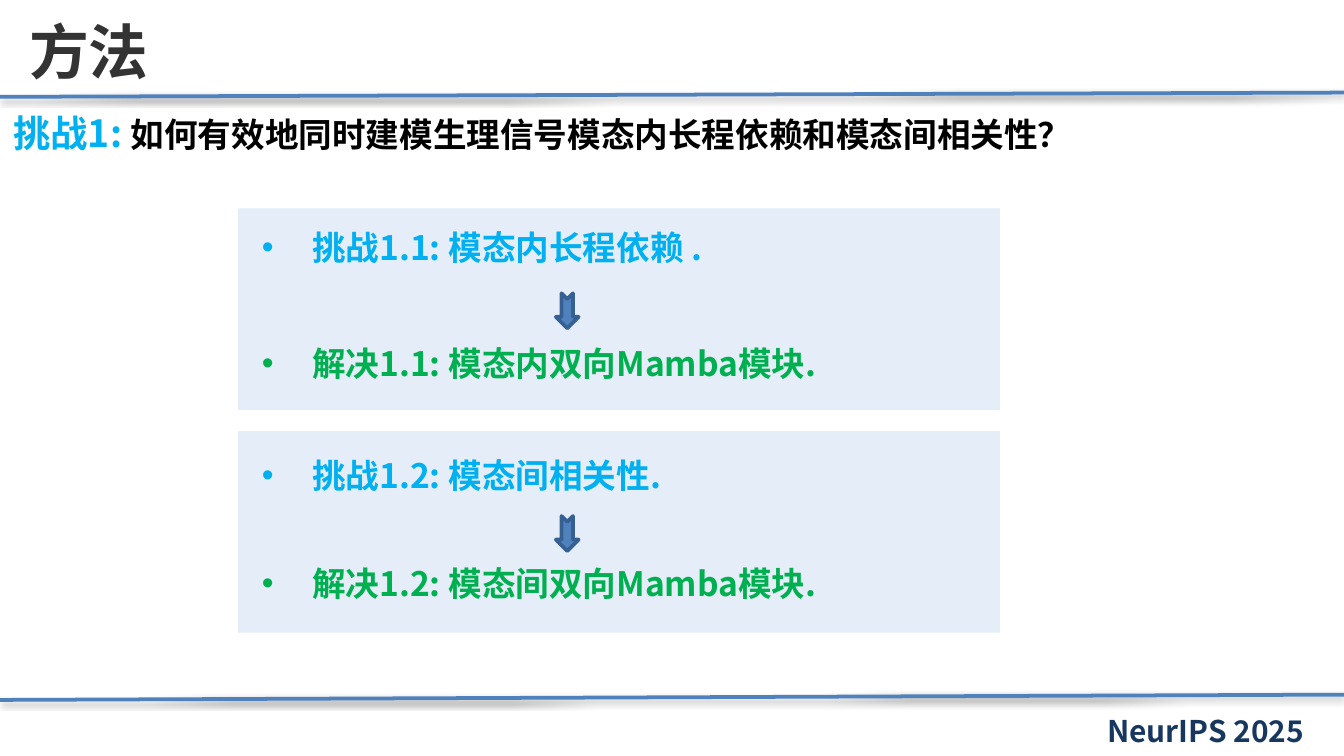
import pptx
import pptx.dml.color
import pptx.enum.dml
import pptx.enum.shapes
import pptx.enum.text
import pptx.oxml
import pptx.oxml.ns
import pptx.util

Cm = pptx.util.Cm
Pt = pptx.util.Pt
KIND = pptx.enum.shapes.MSO_SHAPE
NS = pptx.oxml.ns.nsdecls("a")
FONT = "Noto Sans CJK SC"
BLUE, GREEN = "00B0F0", "00B050"
WIDE, HIGH = 25.4, 14.29
SHADOW = (
    f'<a:effectLst {NS}><a:outerShdw blurRad="{Pt(3.1)}" dist="{Pt(1.6)}" '
    'dir="5400000" rotWithShape="0"><a:srgbClr val="000000">'
    '<a:alpha val="38000"/></a:srgbClr></a:outerShdw></a:effectLst>'
)


def rgb(code):
    return pptx.dml.color.RGBColor.from_string(code)


def node(xml):
    return pptx.oxml.parse_xml(xml)


class Deck:
    """Holds the style and the current slide."""

    def __init__(self):
        self.prs = pptx.Presentation()
        self.prs.slide_width = Cm(WIDE)
        self.prs.slide_height = Cm(HIGH)
        self.slide = self.prs.slides.add_slide(self.prs.slide_layouts[6])
        self.shapes = self.slide.shapes

    def back(self, fore, base):
        fill = self.slide.background.fill
        fill.patterned()
        fill.pattern = pptx.enum.dml.MSO_PATTERN.LIGHT_UPWARD_DIAGONAL
        fill.fore_color.rgb = rgb(fore)
        fill.back_color.rgb = rgb(base)

    def shape(self, kind, x, y, w, h, fill, line=None, alpha=None):
        """Add a preset shape; alpha is its opacity in percent."""
        item = self.shapes.add_shape(kind, Cm(x), Cm(y), Cm(w), Cm(h))
        item.shadow.inherit = False
        item.fill.solid()
        item.fill.fore_color.rgb = rgb(fill)
        if alpha:
            tint = item.fill._xPr.find(".//" + pptx.oxml.ns.qn("a:srgbClr"))
            tint.append(node(f'<a:alpha {NS} val="{alpha * 1000}"/>'))
        if line:
            item.line.color.rgb = rgb(line)
            item.line.width = Pt(2)
        else:
            item.line.fill.background()
        return item

    def rule(self, left, right):
        """Draw a shadowed line across the slide, given its end heights."""
        line = self.shapes.add_connector(
            pptx.enum.shapes.MSO_CONNECTOR.STRAIGHT,
            Cm(0), Cm(left), Cm(WIDE), Cm(right))
        line.line.color.rgb = rgb("4F81BD")
        line.line.width = Pt(2)
        line._element.spPr.append(node(SHADOW))

    def arrow(self, x, y):
        item = self.shape(KIND.NOTCHED_RIGHT_ARROW, x, y, 0.66, 0.43,
                          "4F81BD", "376092")
        item.rotation = 90

    def text(self, x, y, w, h, *parts, bullet=False):
        """Add one line of text; each part is (words, size, colour)."""
        box = self.shapes.add_textbox(Cm(x), Cm(y), Cm(w), Cm(h))
        frame = box.text_frame
        frame.word_wrap = True
        frame.auto_size = pptx.enum.text.MSO_AUTO_SIZE.SHAPE_TO_FIT_TEXT
        para = frame.paragraphs[0]
        para.text = parts[0][0]
        for part in parts[1:]:
            para.add_run().text = part[0]
        if bullet:
            props = para._p.get_or_add_pPr()
            props.set("marL", str(Cm(0.95)))
            props.set("indent", str(-Cm(0.95)))
            props.append(node(f'<a:buFont {NS} typeface="Arial"/>'))
            props.append(node(f'<a:buChar {NS} char="•"/>'))
        for run, (_, size, colour) in zip(para.runs, parts):
            run.font.size = Pt(size)
            run.font.bold = True
            run.font.color.rgb = rgb(colour)
            run.font.name = FONT
            run.font._element.append(node(f'<a:ea {NS} typeface="{FONT}"/>'))

    def panel(self, y, task, answer):
        """Add a tinted panel that leads from a challenge to its solution."""
        self.shape(KIND.RECTANGLE, 4.5, y, 14.4, 3.81, "C6D9F1", alpha=47)
        self.arrow(10.39, y + 1.72)
        for top, words, colour in (task + (BLUE,), answer + (GREEN,)):
            self.text(4.7, y + top, 14.1, 1.02, (words, 18, colour),
                      bullet=True)


def main():
    deck = Deck()
    deck.back("F2F2F2", "FFFFFF")
    deck.shape(KIND.RECTANGLE, 0, 0, WIDE, 14.35, "FFFFFF")
    deck.rule(1.83, 1.75)
    deck.rule(13.23, 13.13)
    deck.text(0.3, 0.15, 12.85, 1.63, ("方法", 32, "333333"))
    deck.text(0, 1.96, 24.2, 1.12, ("挑战1: ", 20, BLUE),
              ("如何有效地同时建模生理信号模态内长程依赖和模态间相关性？", 18, "000000"))
    deck.panel(3.94, (0.23, "挑战1.1: 模态内长程依赖 ."),
               (2.41, "解决1.1: 模态内双向Mamba模块."))
    deck.panel(8.15, (0.33, "挑战1.2: 模态间相关性."),
               (2.37, "解决1.2: 模态间双向Mamba模块."))
    deck.text(20.68, 13.34, 4.39, 0.94, ("NeurIPS 2025", 16, "17375E"))
    deck.prs.save("out.pptx")


if __name__ == "__main__":
    main()
